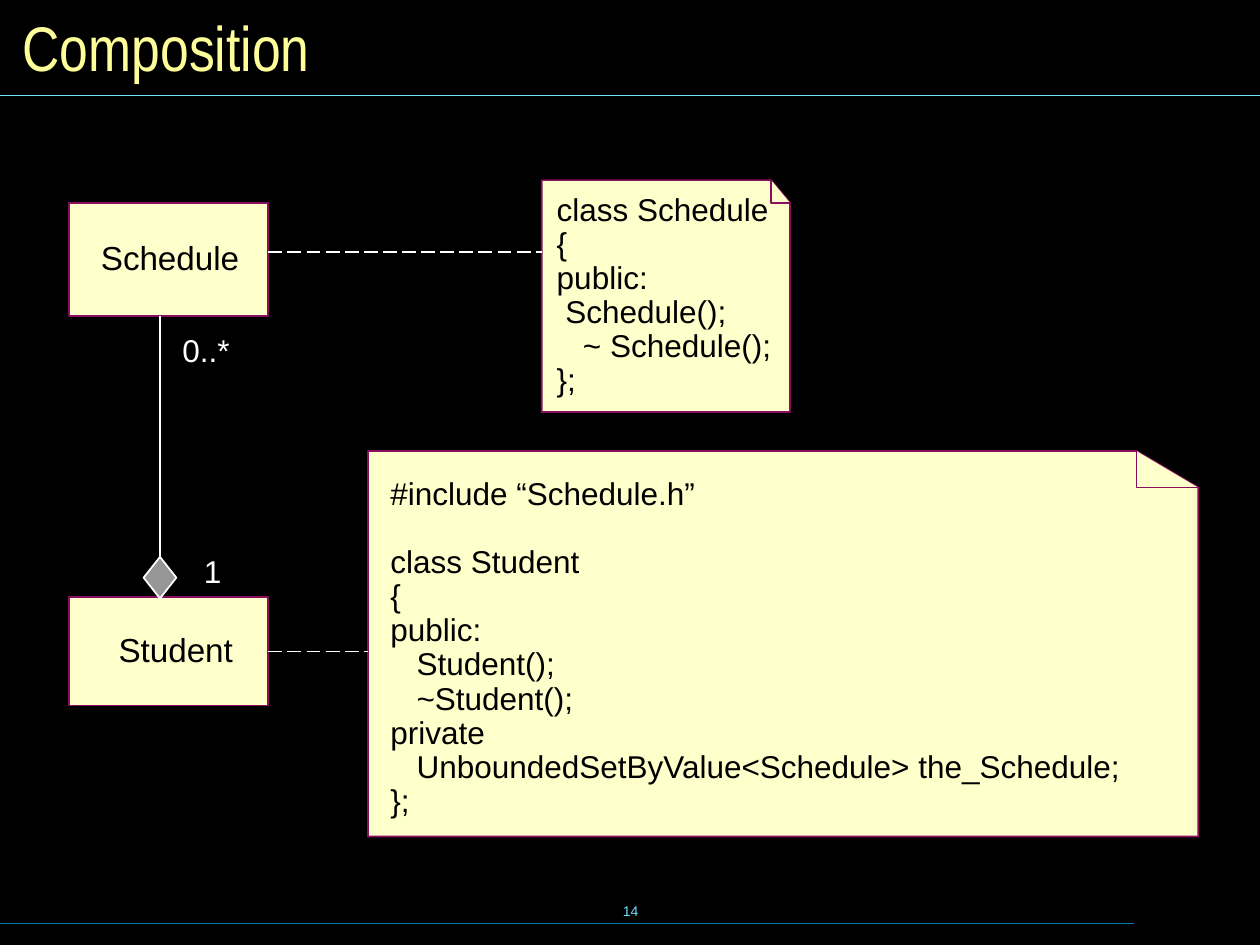
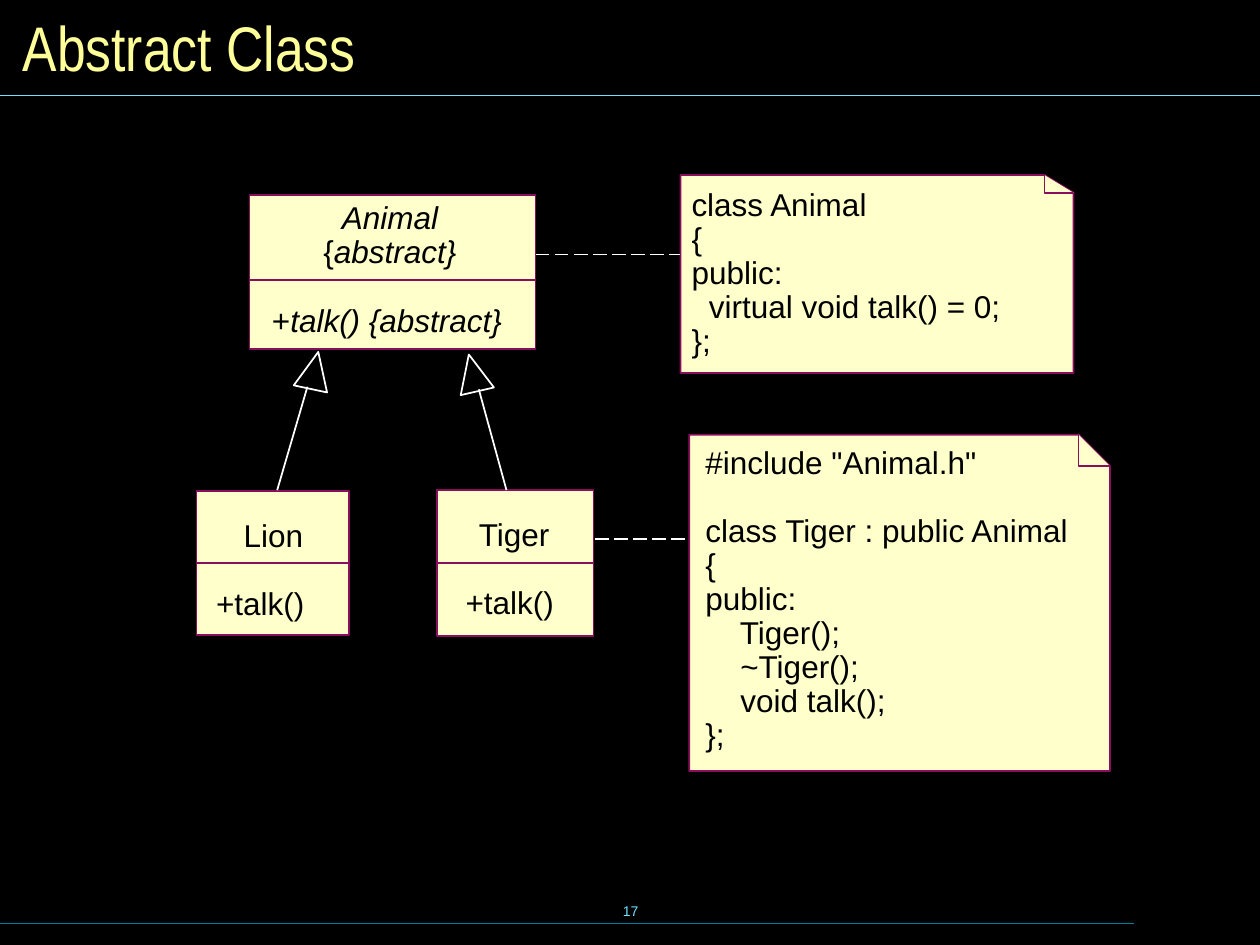
"""Build two class-diagram slides: composition and abstract class."""
from dataclasses import dataclass

from lxml.etree import SubElement
from pptx import Presentation
from pptx.dml.color import RGBColor
from pptx.enum.dml import MSO_LINE
from pptx.enum.shapes import MSO_CONNECTOR, MSO_SHAPE
from pptx.enum.text import MSO_ANCHOR, MSO_AUTO_SIZE, PP_ALIGN
from pptx.oxml.ns import qn
from pptx.util import Inches, Pt


@dataclass(frozen=True)
class Theme:
    background: str = "000000"
    paper: str = "FFFFCC"
    outline: str = "8A0E5E"
    ink: str = "000000"
    link: str = "FFFFFF"
    diamond: str = "969696"
    title: str = "FFFF99"
    header_rule: str = "73E1FF"
    footer_rule: str = "007E9F"
    font: str = "Arial"
    title_font: str = "Arial Narrow"
    title_size: float = 36
    name_size: float = 19
    code_size: float = 18
    footer_size: float = 8
    line_width: float = 1
    rule_width: float = 0.75
    code_spacing: float = 0.9
    blank_line: float = 19.4


THEME = Theme()


def rgb(color):
    return RGBColor.from_string(color)


def write(frame, lines, size=THEME.code_size, color=THEME.ink, font=THEME.font,
          align=PP_ALIGN.LEFT, spacing=None, anchor=MSO_ANCHOR.TOP, first_indent=0):
    """Write lines of (text, italic) runs; an empty line becomes space before the next."""
    frame.word_wrap, frame.auto_size = True, MSO_AUTO_SIZE.NONE
    frame.vertical_anchor = anchor
    paragraph, gap = None, 0
    for line in lines:
        if not line:
            gap += THEME.blank_line
            continue
        first = paragraph is None
        paragraph = frame.paragraphs[0] if first else frame.add_paragraph()
        if first and first_indent:
            paragraph._p.get_or_add_pPr().set("marL", str(Inches(first_indent)))
        paragraph.alignment = align
        if spacing:
            paragraph.line_spacing = spacing
        if gap:
            paragraph.space_before = Pt(gap)
            gap = 0
        for text, italic in [(line, False)] if isinstance(line, str) else line:
            run = paragraph.add_run()
            run.text = text
            run.font.name, run.font.size = font, Pt(size)
            run.font.italic = italic
            run.font.color.rgb = rgb(color)


class Diagram:
    """Hold the deck, its theme and the current slide."""

    def __init__(self, theme):
        self.theme = theme
        self.deck = Presentation()
        self.deck.slide_width, self.deck.slide_height = Inches(10), Inches(7.5)
        backdrop = self.deck.slide_master.background.fill
        backdrop.solid()
        backdrop.fore_color.rgb = rgb(theme.background)

    def start(self, title, number):
        theme = self.theme
        self.slide = self.deck.slides.add_slide(self.deck.slide_layouts[5])
        heading = self.slide.shapes.title
        heading.left, heading.top = Inches(0.08), Inches(0.08)
        heading.width, heading.height = Inches(9.84), Inches(0.58)
        write(heading.text_frame, [title], size=theme.title_size, color=theme.title,
              font=theme.title_font, anchor=MSO_ANCHOR.MIDDLE)
        self.label([number], 3.42, 6.98, 3.17, 0.5, size=theme.footer_size,
                   color=theme.header_rule, align=PP_ALIGN.CENTER,
                   anchor=MSO_ANCHOR.MIDDLE)
        self.line((0, 7.33), (9, 7.33), theme.footer_rule, theme.rule_width)
        self.line((0, 0.76), (10, 0.76), theme.header_rule, theme.rule_width)

    def label(self, lines, left, top, width, height, **style):
        box = self.slide.shapes.add_textbox(
            Inches(left), Inches(top), Inches(width), Inches(height))
        write(box.text_frame, lines, **style)

    def code(self, text, left, top, width, height):
        self.label(text.split("\n"), left, top, width, height,
                   spacing=self.theme.code_spacing)

    def paint(self, shape, fill, outline):
        shape.shadow.inherit = False
        if fill:
            shape.fill.solid()
            shape.fill.fore_color.rgb = rgb(fill)
        else:
            shape.fill.background()
        shape.line.color.rgb = rgb(outline)
        shape.line.width = Pt(self.theme.line_width)
        return shape

    def shape(self, preset, left, top, width, height, fill, outline, rotation=0):
        shape = self.slide.shapes.add_shape(
            preset, Inches(left), Inches(top), Inches(width), Inches(height))
        shape.rotation = rotation
        return self.paint(shape, fill, outline)

    def class_box(self, left, top, width, height):
        return self.shape(MSO_SHAPE.RECTANGLE, left, top, width, height,
                          self.theme.paper, self.theme.outline)

    def inheritance(self, left, top, rotation, start, end):
        self.shape(MSO_SHAPE.ISOSCELES_TRIANGLE, left, top, 0.27, 0.3,
                   None, self.theme.link, rotation)
        self.line(start, end)

    def outline(self, points, close):
        corners = [(Inches(x), Inches(y)) for x, y in points]
        builder = self.slide.shapes.build_freeform(*corners[0], scale=1.0)
        builder.add_line_segments(corners[1:], close=close)
        self.paint(builder.convert_to_shape(), self.theme.paper, self.theme.outline)

    def note(self, left, top, right, bottom, fold_width, fold_height):
        fold_x, fold_y = right - fold_width, top + fold_height
        self.outline([(right, bottom), (left, bottom), (left, top),
                      (fold_x, top), (right, fold_y)], close=True)
        self.outline([(right, fold_y), (fold_x, fold_y), (fold_x, top)], close=False)

    def line(self, start, end, color=THEME.link, width=THEME.line_width,
             dashed=False, begin=None, finish=None):
        link = self.slide.shapes.add_connector(
            MSO_CONNECTOR.STRAIGHT, *(Inches(value) for value in (*start, *end)))
        link.line.color.rgb = rgb(color)
        link.line.width = Pt(width)
        if dashed:
            link.line.dash_style = MSO_LINE.LONG_DASH
        SubElement(link._element.spPr, qn("a:effectLst"))
        if begin:
            link.begin_connect(*begin)
        if finish:
            link.end_connect(*finish)

    def divider(self, box, left, right, y):
        self.line((left, y), (right, y), self.theme.outline,
                  begin=(box, 1), finish=(box, 3))


SCHEDULE_CODE = """class Schedule
{
public:
 Schedule();
   ~ Schedule();
};"""

STUDENT_CODE = """#include “Schedule.h”

class Student
{
public:
   Student();
   ~Student();
private
   UnboundedSetByValue<Schedule> the_Schedule;
};"""

ANIMAL_CODE = """class Animal
{
public:
  virtual void talk() = 0;
};"""

TIGER_CODE = """#include "Animal.h"

class Tiger : public Animal
{
public:
    Tiger();
    ~Tiger();
    void talk();
};"""


def composition(diagram):
    theme = diagram.theme
    centred = {"align": PP_ALIGN.CENTER, "spacing": theme.code_spacing}
    diagram.start("Composition", "14")
    diagram.class_box(0.55, 1.61, 1.58, 0.9)
    student = diagram.class_box(0.55, 4.74, 1.58, 0.86)
    diagram.note(4.3, 1.43, 6.27, 3.27, 0.15, 0.18)
    diagram.note(2.92, 3.58, 9.51, 6.64, 0.49, 0.29)
    diagram.label(["Schedule"], 0.6, 1.87, 1.5, 0.39, size=theme.name_size, **centred)
    diagram.label(["Student"], 0.74, 4.98, 1.31, 0.39, size=theme.name_size, **centred)
    diagram.code(SCHEDULE_CODE, 4.32, 1.49, 1.95, 1.71)
    diagram.line((2.13, 2), (4.3, 2), dashed=True)
    whole = diagram.shape(MSO_SHAPE.DIAMOND, 1.14, 4.42, 0.26, 0.33,
                          theme.diamond, theme.link)
    diagram.line((1.27, 4.42), (1.27, 2.51), begin=(whole, 0))
    for count, left, top in (("0..*", 1.35, 2.58), ("1", 1.52, 4.33)):
        diagram.label([count], left, top, 1, 0.4, color=theme.link)
    diagram.code(STUDENT_CODE, 3, 3.75, 6.2, 2.79)
    diagram.line((2.13, 5.17), (2.92, 5.17), dashed=True, begin=(student, 3))


def abstract_class(diagram):
    theme = diagram.theme
    centred = {"align": PP_ALIGN.CENTER, "spacing": theme.code_spacing}
    diagram.start("Abstract Class", "17")
    diagram.note(5.4, 1.39, 8.52, 2.96, 0.23, 0.14)
    lion = diagram.class_box(1.56, 3.9, 1.21, 1.14)
    tiger = diagram.class_box(3.47, 3.89, 1.24, 1.16)
    diagram.class_box(1.98, 1.55, 2.27, 1.22)
    diagram.line((4.25, 2.22), (1.98, 2.22), theme.outline)
    diagram.note(5.47, 3.45, 8.81, 6.12, 0.25, 0.25)
    diagram.code(ANIMAL_CODE, 5.39, 1.45, 2.9, 1.44)
    diagram.label([[("Animal", True)], [("{", False), ("abstract}", True)]],
                  2.37, 1.56, 1.45, 0.63, **centred)
    diagram.label(["Lion", "", "+talk()"], 1.57, 4.08, 0.99, 0.9,
                  first_indent=0.21, **centred)
    diagram.label(["Tiger", "", "+talk()"], 3.55, 4.07, 0.99, 0.9,
                  first_indent=0.07, **centred)
    diagram.inheritance(2.36, 2.79, 12, (2.2, 3.89), (2.44, 3.07))
    diagram.inheritance(3.62, 2.81, 347, (4.02, 3.89), (3.8, 3.09))
    diagram.divider(lion, 1.56, 2.77, 4.47)
    diagram.divider(tiger, 3.47, 4.71, 4.47)
    diagram.code(TIGER_CODE, 5.5, 3.5, 3.25, 2.52)
    diagram.line((4.72, 4.28), (5.47, 4.28), dashed=True)
    diagram.line((4.25, 2.02), (5.4, 2.02), dashed=True)
    diagram.label([[("+", False), ("talk() {abstract}", True)]],
                  2.06, 2.37, 2.17, 0.36, spacing=theme.code_spacing)


def main():
    diagram = Diagram(THEME)
    composition(diagram)
    abstract_class(diagram)
    diagram.deck.save("out.pptx")


if __name__ == "__main__":
    main()
